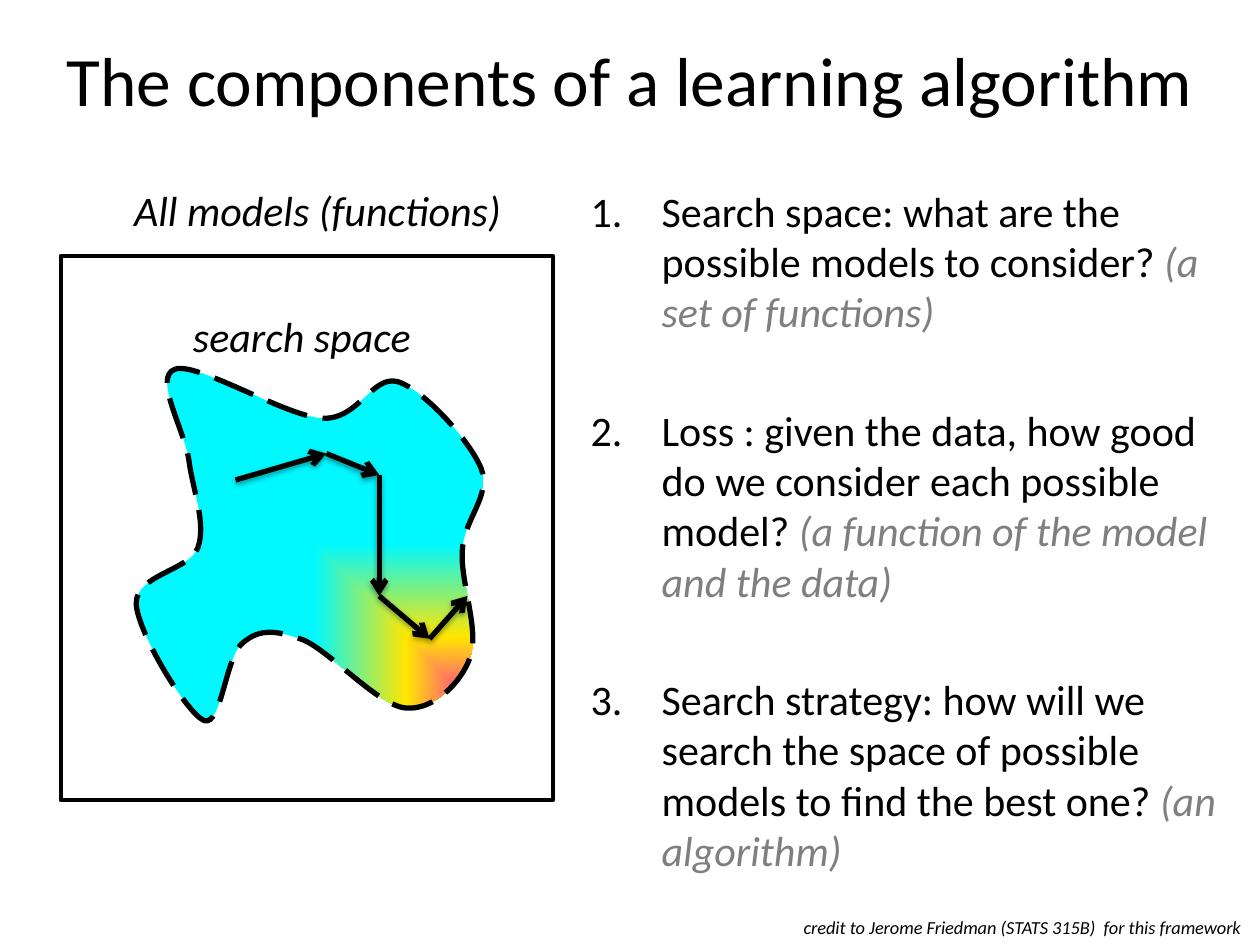
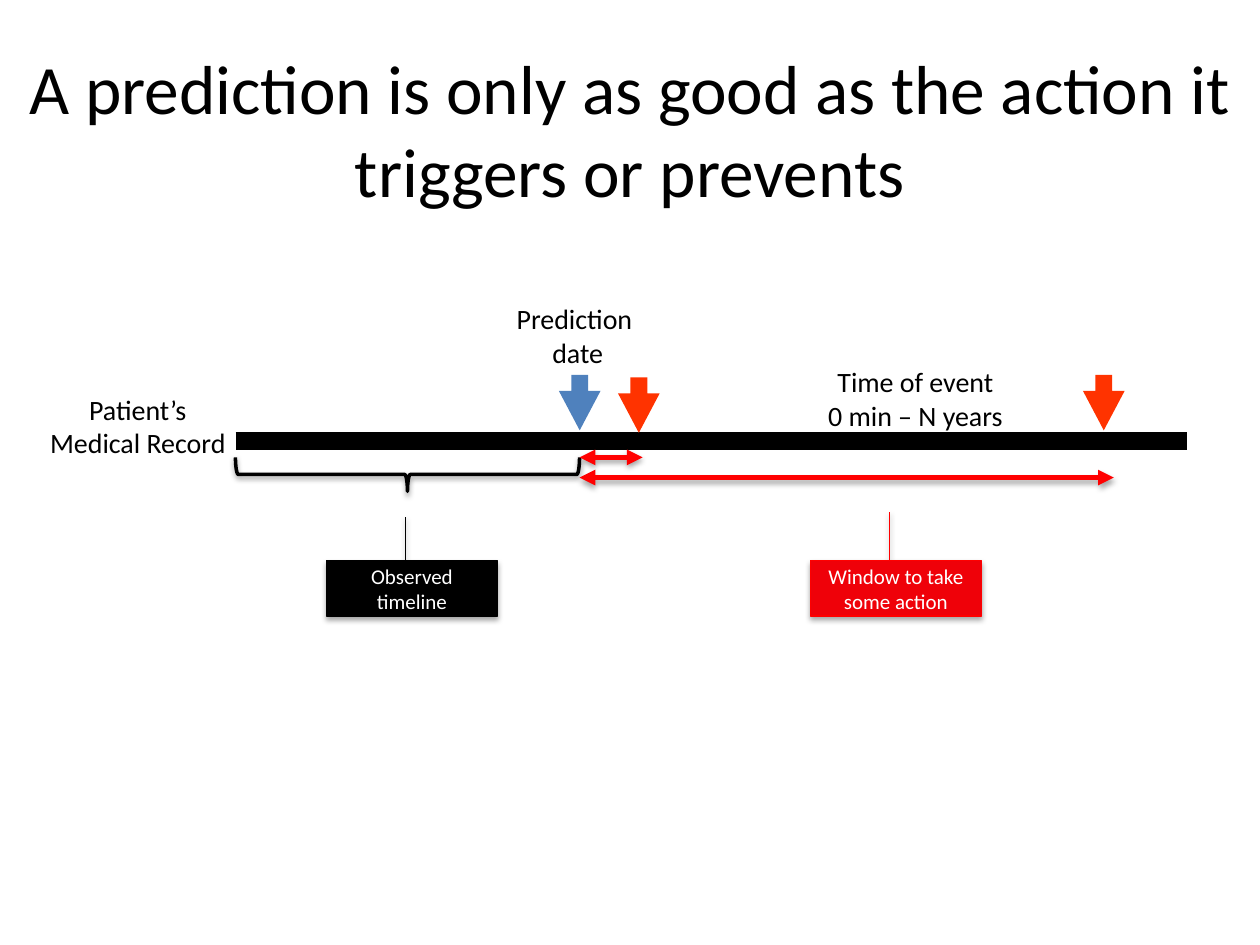
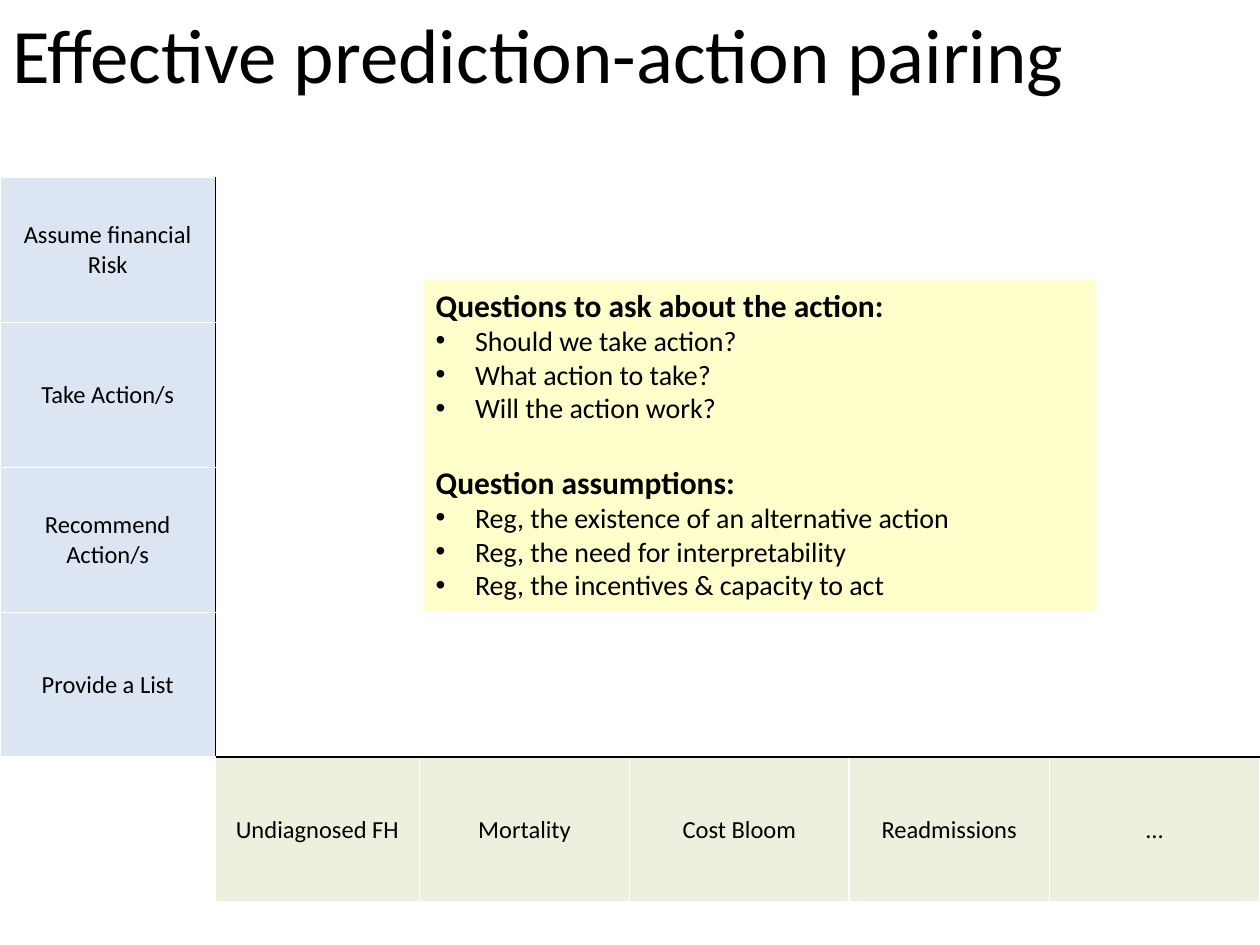
from dataclasses import dataclass, replace
from itertools import pairwise
from typing import NamedTuple

from lxml import etree
from pptx import Presentation
from pptx.dml.color import RGBColor
from pptx.enum.dml import MSO_LINE
from pptx.enum.shapes import MSO_CONNECTOR, MSO_SHAPE
from pptx.enum.text import MSO_ANCHOR, PP_ALIGN
from pptx.oxml import parse_xml
from pptx.oxml.ns import nsdecls, qn
from pptx.util import Pt

FONT = "Calibri"
COLORS = {
    "black": "000000",
    "white": "FFFFFF",
    "aside": "7F7F7F",
    "prediction": "4F81BD",
    "event": "FF3300",
    "window": "FF0000",
    "window_box": "EF0109",
    "action": "DCE6F2",
    "outcome": "EBF1DE",
    "panel": "FFFFCC",
    "best": "FF00CC",
    "better": "FFE600",
    "plain": "00F8FF",
}


class Point(NamedTuple):
    x: float
    y: float


class Frame(NamedTuple):
    left: float
    top: float
    width: float
    height: float

    def lengths(self) -> list:
        return [Pt(value) for value in self]


class Shadow(NamedTuple):
    opacity: int
    distance: float


@dataclass(frozen=True)
class Style:
    size: float
    color: str = "black"
    bold: bool = False
    italic: bool = False
    align: PP_ALIGN = PP_ALIGN.CENTER


@dataclass(frozen=True)
class Para:
    text: str
    style: Style
    aside: str = ""
    bullet: str = ""
    indent: float = 0
    space_before: float = 0


@dataclass(frozen=True)
class Callout:
    text: str
    left: float
    fill: str
    line: str
    leader_end: float


TITLE = Style(39.6)
LEFT_TITLE = Style(44, align=PP_ALIGN.LEFT)
QUESTION = Style(24, align=PP_ALIGN.LEFT)
CAPTION = Style(24, italic=True)
CREDIT = Style(10.5, italic=True)
LABEL = Style(16)
CALLOUT = Style(12, "white")
CELL = Style(14)
PANEL_HEADING = Style(18, bold=True, align=PP_ALIGN.LEFT)
PANEL_ITEM = Style(16, align=PP_ALIGN.LEFT)

LINE_SHADOW = Shadow(38, 1.57)
BOX_SHADOW = Shadow(35, 1.81)

BULLETS = {
    "number": ('<a:buFont {ns} typeface="+mj-lt"/>', '<a:buAutoNum {ns} type="arabicPeriod"/>'),
    "dot": ('<a:buFont {ns} typeface="Arial"/>', '<a:buChar {ns} char="•"/>'),
}


def rgb(name: str) -> RGBColor:
    return RGBColor.from_string(COLORS[name])


def write(text_frame, paras: list[Para]) -> None:
    for index, para in enumerate(paras):
        paragraph = text_frame.paragraphs[0] if index == 0 else text_frame.add_paragraph()
        paragraph.alignment = para.style.align
        if para.space_before:
            paragraph.space_before = Pt(para.space_before)
        if para.bullet:
            properties = paragraph._p.get_or_add_pPr()
            properties.set("marL", str(Pt(para.indent)))
            properties.set("indent", str(-Pt(para.indent)))
            for xml in BULLETS[para.bullet]:
                properties.append(parse_xml(xml.format(ns=nsdecls("a"))))
        font = paragraph.font
        font.name, font.size = FONT, Pt(para.style.size)
        font.bold, font.italic = para.style.bold, para.style.italic
        font.color.rgb = rgb(para.style.color)
        paragraph.add_run().text = para.text
        if para.aside:
            aside = paragraph.add_run()
            aside.text = para.aside
            aside.font.italic = True
            aside.font.color.rgb = rgb("aside")


def lines_of(text: str, style: Style) -> list[Para]:
    return [Para(line, style) for line in text.split("\n")]


def add_text(slide, frame: Frame, paras: list[Para], anchor=MSO_ANCHOR.TOP,
             wrap: bool = True, inset: bool = True) -> None:
    text_frame = slide.shapes.add_textbox(*frame.lengths()).text_frame
    text_frame.word_wrap = wrap
    text_frame.vertical_anchor = anchor
    if not inset:
        text_frame.margin_left = text_frame.margin_right = 0
        text_frame.margin_top = text_frame.margin_bottom = 0
    write(text_frame, paras)


def add_title(slide, text: str, top: float = 0, style: Style = TITLE,
              anchor=MSO_ANCHOR.MIDDLE) -> None:
    add_text(slide, Frame(0, top, 720, 90), [Para(text, style)], anchor)


def set_effects(shape, shadow: Shadow | None) -> None:
    """Give the shape the soft drop shadow, or an empty effect list."""
    effects = etree.SubElement(shape.element.spPr, qn("a:effectLst"))
    if shadow:
        effects.append(parse_xml(
            f'<a:outerShdw {nsdecls("a")} blurRad="{Pt(3.15)}" dist="{Pt(shadow.distance)}" '
            f'dir="5400000" rotWithShape="0"><a:srgbClr val="{COLORS["black"]}">'
            f'<a:alpha val="{shadow.opacity * 1000}"/></a:srgbClr></a:outerShdw>'))


def set_line(shape, color: str, width: float) -> None:
    shape.line.color.rgb = rgb(color)
    shape.line.width = Pt(width)


def add_block(slide, kind: MSO_SHAPE, frame: Frame, fill: str = "", line: str = "",
              line_width: float = 1, shadow: Shadow | None = None,
              rotation: float = 0, adjustments: tuple = ()):
    shape = slide.shapes.add_shape(kind, *frame.lengths())
    shape.rotation = rotation
    for index, value in enumerate(adjustments):
        shape.adjustments[index] = value
    if fill:
        shape.fill.solid()
        shape.fill.fore_color.rgb = rgb(fill)
    else:
        shape.fill.background()
    if line:
        set_line(shape, line, line_width)
    else:
        shape.line.fill.background()
    set_effects(shape, shadow)
    return shape


def add_line(slide, start: Point, end: Point, color: str, width: float,
             head: str = "", tail: str = "", shadow: Shadow | None = None) -> None:
    line = slide.shapes.add_connector(
        MSO_CONNECTOR.STRAIGHT, Pt(start.x), Pt(start.y), Pt(end.x), Pt(end.y))
    set_line(line, color, width)
    stroke = line.line._get_or_add_ln()
    for tag, arrow in (("a:headEnd", head), ("a:tailEnd", tail)):
        if arrow:
            etree.SubElement(stroke, qn(tag)).set("type", arrow)
    set_effects(line, shadow)


def add_curved_outline(slide, points: list[tuple[float, float]]):
    """Draw a closed outline: a start point, then three Bezier points per curve."""
    start, *rest = [(Pt(x), Pt(y)) for x, y in points]
    builder = slide.shapes.build_freeform(*start)
    builder.add_line_segments(rest, close=True)
    shape = builder.convert_to_shape()
    segments = list(shape.element.iter(qn("a:lnTo")))
    for first in range(0, len(segments), 3):
        curve = etree.Element(qn("a:cubicBezTo"))
        segments[first].addprevious(curve)
        for segment in segments[first:first + 3]:
            curve.append(segment[0])
            segment.getparent().remove(segment)
    return shape


SEARCH_SPACE = [
    (139, 367.2),
    (148.3, 359.3), (157.7, 360), (173.5, 365.8),
    (188.6, 372.2), (216, 403.2), (231.8, 404.6),
    (247.7, 406.1), (263.5, 390.2), (268.6, 375.8),
    (274.3, 360.7), (262.8, 331.9), (264.2, 314.6),
    (265, 296.6), (280.8, 283.7), (275, 267.8),
    (268.6, 252), (242.6, 223.2), (227.5, 218.2),
    (212.4, 213.8), (205.2, 240.5), (183.6, 239),
    (162.7, 237.6), (112.3, 206.6), (100.1, 211),
    (87.1, 215.3), (105.8, 246.2), (108, 263.5),
    (110.2, 280.1), (118.1, 299.5), (113, 313.2),
    (108, 326.2), (77.8, 328.3), (77.8, 344.9),
    (78.5, 361.4), (106.6, 407.5), (116.6, 411.8),
    (126.7, 415.4), (128.9, 374.4), (139, 367.2),
]
SEARCH_STEPS = [Point(134.6, 274.3), Point(186.5, 259.2), Point(216.7, 271.4),
                Point(216.7, 340.6), Point(245.5, 365), Point(267.1, 340.6)]
COMPONENTS = [
    ("Search space: what are the possible models to consider? ", "(a set of functions)"),
    ("Loss : given the data, how good do we consider each possible model? ",
     "(a function of the model and the data)"),
    ("Search strategy: how will we search the space of possible models to find the best one? ",
     "(an algorithm)"),
]


def add_search_space(slide) -> None:
    space = add_curved_outline(slide, SEARCH_SPACE)
    stops = "".join(
        f'<a:gs pos="{percent * 1000}"><a:srgbClr val="{COLORS[name]}"/></a:gs>'
        for percent, name in ((0, "best"), (48, "better"), (100, "plain")))
    space.element.spPr.find(qn("a:custGeom")).addnext(parse_xml(
        f'<a:gradFill {nsdecls("a")} rotWithShape="0"><a:gsLst>{stops}</a:gsLst>'
        '<a:path path="rect"><a:fillToRect l="100000" t="100000"/></a:path></a:gradFill>'))
    set_line(space, "black", 3)
    space.line.dash_style = MSO_LINE.LONG_DASH
    set_effects(space, None)


def build_components(slide) -> None:
    add_title(slide, "The components of a learning algorithm")
    add_text(slide, Frame(330.5, 102.2, 384.5, 414), [
        Para(question, QUESTION, aside, "number", 40.5, 38.8 if index else 0)
        for index, (question, aside) in enumerate(COMPONENTS)])
    add_block(slide, MSO_SHAPE.RECTANGLE, Frame(34.6, 146.2, 281.5, 311),
              "white", "black", 2.25)
    add_text(slide, Frame(65.5, 102.2, 231.8, 36),
             [Para("All models (functions)", CAPTION)], wrap=False)
    add_text(slide, Frame(99.4, 174.2, 146.2, 36),
             [Para("search space", CAPTION)], wrap=False)
    add_search_space(slide)
    for start, end in pairwise(SEARCH_STEPS):
        add_line(slide, start, end, "black", 3, tail="arrow", shadow=LINE_SHADOW)
    add_text(slide, Frame(448.6, 519.8, 271.4, 20.2),
             [Para("credit to Jerome Friedman (STATS 315B)  for this framework", CREDIT)],
             wrap=False)


TIMELINE_LABELS = [
    ("Patient’s Medical Record", Frame(25.9, 225.4, 105.8, 36)),
    ("Prediction \ndate", Frame(277.2, 173.5, 105.8, 36)),
    ("Time of event\n0 min – N years", Frame(463, 209.5, 120.2, 36)),
]
TIMELINE_MARKERS = [
    (Point(315.4, 218.2), "prediction"),
    (Point(349.2, 219.6), "event"),
    (Point(614.9, 218.2), "event"),
]
PREDICTION_X = 331.2
ACTION_WINDOWS = [Point(367.2, 261.4), Point(636.5, 272.9)]
CALLOUTS = [
    Callout("Observed timeline", 186.5, "black", "black", -0.795),
    Callout("Window to take some action", 463, "window_box", "window", -0.883),
]


def build_timeline(slide) -> None:
    add_title(slide, "A prediction is only as good as the action it triggers or prevents", 28.1)
    add_line(slide, Point(134.6, 252), Point(678.2, 252), "black", 10)
    for text, frame in TIMELINE_LABELS:
        add_text(slide, frame, lines_of(text, LABEL), MSO_ANCHOR.MIDDLE, inset=False)
    for corner, color in TIMELINE_MARKERS:
        add_block(slide, MSO_SHAPE.RIGHT_ARROW, Frame(*corner, 31.7, 23.8), color,
                  rotation=90, adjustments=(0.404, 0.946))
    add_block(slide, MSO_SHAPE.LEFT_BRACE, Frame(223.2, 172.8, 19.4, 196.6),
              line="black", line_width=2, shadow=LINE_SHADOW, rotation=270)
    for end in ACTION_WINDOWS:
        add_line(slide, Point(PREDICTION_X, end.y), end, "window", 3,
                 "triangle", "triangle", BOX_SHADOW)
    for callout in CALLOUTS:
        box = add_block(slide, MSO_SHAPE.LINE_CALLOUT_1,
                        Frame(callout.left, 320.4, 97.9, 31.7), callout.fill, callout.line,
                        0.75, BOX_SHADOW,
                        adjustments=(-0.019, 0.464, callout.leader_end, 0.464))
        box.text_frame.word_wrap = True
        box.text_frame.vertical_anchor = MSO_ANCHOR.MIDDLE
        write(box.text_frame, [Para(callout.text, CALLOUT)])


ACTIONS = ["Assume financial Risk", "Take Action/s", "Recommend\nAction/s", "Provide a List"]
OUTCOMES = ["Undiagnosed FH", "Mortality", "Cost Bloom", "Readmissions", "…"]
COLUMN_WIDTHS = [123.1, 116.6, 120.2, 125.3, 114.5, 120.2]
ROW_HEIGHT = 82.8
PANEL = {
    "Questions to ask about the action:": [
        "Should we take action?", "What action to take?", "Will the action work?"],
    "Question assumptions:": [
        "Reg, the existence of an alternative action",
        "Reg, the need for interpretability",
        "Reg, the incentives & capacity to act"],
}


def set_borders(cell, **sides: str) -> None:
    properties = cell._tc.get_or_add_tcPr()
    for index, (side, color) in enumerate(sides.items()):
        properties.insert(index, parse_xml(
            f'<a:ln{side} {nsdecls("a")} w="{Pt(1)}"><a:solidFill>'
            f'<a:srgbClr val="{COLORS[color]}"/></a:solidFill></a:ln{side}>'))


def fill_cell(cell, text: str, fill: str) -> None:
    cell.fill.solid()
    cell.fill.fore_color.rgb = rgb(fill)
    cell.vertical_anchor = MSO_ANCHOR.MIDDLE
    cell.margin_left = cell.margin_right = Pt(5)
    cell.margin_top = cell.margin_bottom = Pt(2.9)
    write(cell.text_frame, lines_of(text, CELL))


def add_pairing_grid(slide) -> None:
    axis_row = len(ACTIONS)
    frame = Frame(0, 101.5, sum(COLUMN_WIDTHS), ROW_HEIGHT * (axis_row + 1))
    grid = slide.shapes.add_table(axis_row + 1, len(COLUMN_WIDTHS), *frame.lengths()).table
    grid.first_row = grid.horz_banding = False
    for column, width in zip(grid.columns, COLUMN_WIDTHS):
        column.width = Pt(width)
    for r, row in enumerate(grid.rows):
        row.height = Pt(ROW_HEIGHT)
        for c, cell in enumerate(row.cells):
            if c == 0 and r < axis_row:
                fill_cell(cell, ACTIONS[r], "action")
            elif c > 0 and r == axis_row:
                fill_cell(cell, OUTCOMES[c - 1], "outcome")
            else:
                cell.fill.background()
            set_borders(
                cell,
                L="black" if c == 1 and r < axis_row else "white",
                R="black" if c == 0 and r < axis_row else "white",
                T="black" if c > 0 and r == axis_row else "white",
                B="black" if c > 0 and r == axis_row - 1 else "white")


def build_pairing(slide) -> None:
    add_title(slide, "Effective prediction-action pairing", style=LEFT_TITLE,
              anchor=MSO_ANCHOR.TOP)
    add_pairing_grid(slide)
    panel = add_block(slide, MSO_SHAPE.RECTANGLE, Frame(241.9, 159.8, 384.5, 189.4), "panel")
    panel.text_frame.word_wrap = True
    panel.text_frame.vertical_anchor = MSO_ANCHOR.TOP
    paras = []
    for heading, items in PANEL.items():
        paras.append(Para(heading, PANEL_HEADING, space_before=22 if paras else 0))
        item = Para("", PANEL_ITEM, bullet="dot", indent=22.5)
        paras += [replace(item, text=text) for text in items]
    write(panel.text_frame, paras)


def main() -> None:
    deck = Presentation()
    deck.slide_width, deck.slide_height = Pt(720), Pt(540)
    blank = deck.slide_layouts[6]
    for build in (build_components, build_timeline, build_pairing):
        build(deck.slides.add_slide(blank))
    deck.save("out.pptx")


if __name__ == "__main__":
    main()
